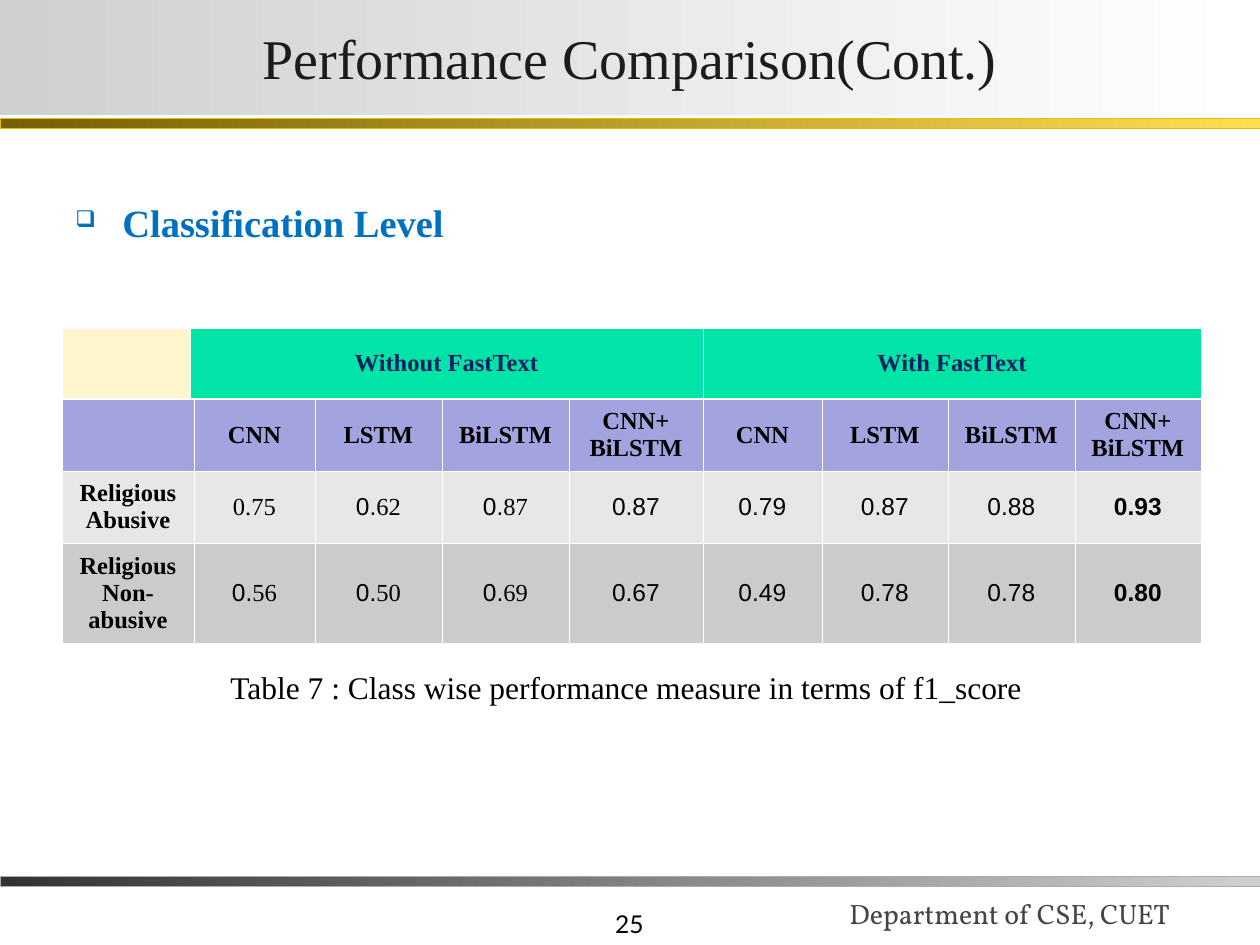
from lxml import etree
from pptx import Presentation
from pptx.dml.color import RGBColor
from pptx.enum.shapes import MSO_SHAPE
from pptx.enum.text import MSO_ANCHOR, PP_ALIGN
from pptx.oxml.ns import qn
from pptx.util import Emu, Pt

RECTANGLE = MSO_SHAPE.RECTANGLE
TOP, MIDDLE, BOTTOM = MSO_ANCHOR.TOP, MSO_ANCHOR.MIDDLE, MSO_ANCHOR.BOTTOM
LEFT, CENTER, RIGHT = PP_ALIGN.LEFT, PP_ALIGN.CENTER, PP_ALIGN.RIGHT

SERIF, SANS = "Times New Roman", "Arial"
BLACK = RGBColor(0x00, 0x00, 0x00)
WHITE = RGBColor(0xFF, 0xFF, 0xFF)
CHARCOAL = RGBColor(0x33, 0x33, 0x33)
TITLE_INK = RGBColor(0x1C, 0x1C, 0x1C)
FOOTER_INK = RGBColor(0x44, 0x44, 0x44)
SILVER = RGBColor(0xD0, 0xD0, 0xD0)
SILVER_EDGE = RGBColor(0xAB, 0xAB, 0xAB)
DARK_GOLD = RGBColor(0x76, 0x60, 0x00)
GOLD = RGBColor(0xFF, 0xDE, 0x53)
GOLD_EDGE = RGBColor(0xE8, 0xBC, 0x00)
BLUE = RGBColor(0x00, 0x70, 0xC0)
NAVY = RGBColor(0x00, 0x20, 0x60)
CREAM = RGBColor(0xFF, 0xF5, 0xCC)
GREEN = RGBColor(0x00, 0xE4, 0xA8)
LAVENDER = RGBColor(0xA3, 0xA3, 0xE0)
LIGHT_GRAY = RGBColor(0xE7, 0xE7, 0xE7)
MID_GRAY = RGBColor(0xCB, 0xCB, 0xCB)

THIN, THICK = 0.45, 1.47


def px(length):
    return Emu(round(length * 914400 / 126))


def mixed(decimals):
    """One line whose leading zero is sans and whose decimals are serif."""
    return [[("0.", SANS), (decimals, SERIF)]]


MODELS = [["CNN"], ["LSTM"], ["BiLSTM"], ["CNN+", "BiLSTM"]]
ABUSIVE = [["0.75"], mixed("62"), mixed("87"),
           ["0.87"], ["0.79"], ["0.87"], ["0.88"], ["0.93"]]
NON_ABUSIVE = [mixed("56"), mixed("50"), mixed("69"),
               ["0.67"], ["0.49"], ["0.78"], ["0.78"], ["0.80"]]
SCORE_ROWS = [
    [[]] * 9,
    [[]] + MODELS * 2,
    [["Religious", "Abusive"]] + ABUSIVE,
    [["Religious", "Non-abusive"]] + NON_ABUSIVE,
]
SCORE_FILLS = [BLACK, LAVENDER, LIGHT_GRAY, MID_GRAY]
SCORE_WIDTHS = [132, 121, 127, 127, 134, 119, 126, 127, 126]
SCORE_HEIGHTS = [71, 72, 72, 100]


class SlideBuilder:
    def __init__(self, presentation):
        self.slide = presentation.slides.add_slide(presentation.slide_layouts[6])

    def fill_text(self, frame, lines, size, color, font=SERIF, bold=False, align=LEFT):
        for index, line in enumerate(lines):
            paragraph = frame.add_paragraph() if index else frame.paragraphs[0]
            paragraph.alignment = align
            paragraph.font.size = Pt(size)
            paragraph.font.bold = bold
            paragraph.font.color.rgb = color
            if isinstance(line, str):
                paragraph.font.name = font
                paragraph.add_run().text = line
                continue
            for text, run_font in line:
                run = paragraph.add_run()
                run.text = text
                run.font.name = run_font

    def text(self, box, line, size, color, anchor=TOP, **style):
        frame = self.slide.shapes.add_textbox(*map(px, box)).text_frame
        frame.word_wrap = True
        frame.vertical_anchor = anchor
        self.fill_text(frame, [line], size, color, **style)
        return frame.paragraphs[0]

    def bullet(self, box, line, size, color, indent, mark):
        paragraph = self.text(box, line, size, color, bold=True)
        properties = paragraph._p.get_or_add_pPr()
        properties.set("marL", str(px(indent)))
        properties.set("indent", str(-px(indent)))
        default_font = properties.find(qn("a:defRPr"))
        bullet_color = etree.Element(qn("a:buClr"))
        etree.SubElement(bullet_color, qn("a:srgbClr"), val=str(color))
        bullet_size = etree.Element(qn("a:buSzPct"), val="60000")
        bullet_mark = etree.Element(qn("a:buChar"), char=mark)
        for element in (bullet_color, bullet_size, bullet_mark):
            default_font.addprevious(element)

    def gradient_bar(self, box, start, end, edge=None):
        shape = self.slide.shapes.add_shape(RECTANGLE, *map(px, box))
        shape.shadow.inherit = False
        shape.fill.gradient()
        shape.fill.gradient_angle = 0
        for stop, color in zip(shape.fill.gradient_stops, (start, end)):
            stop.color.rgb = color
        if edge is None:
            shape.line.fill.background()
        else:
            shape.line.color.rgb = edge
            shape.line.width = Pt(0.25)
        return shape

    def title(self, box, line):
        frame = self.gradient_bar(box, SILVER, WHITE).text_frame
        frame.word_wrap = True
        frame.vertical_anchor = MIDDLE
        frame.margin_left = frame.margin_right = px(2)
        frame.margin_top = frame.margin_bottom = px(1)
        self.fill_text(frame, [line], 32, TITLE_INK, align=CENTER)

    def table(self, left, top, widths, heights):
        box = (left, top, sum(widths), sum(heights))
        table = self.slide.shapes.add_table(
            len(heights), len(widths), *map(px, box)).table
        table.first_row = table.horz_banding = False
        for column, width in zip(table.columns, widths):
            column.width = px(width)
        for row, height in zip(table.rows, heights):
            row.height = px(height)
        return table

    def cell(self, cell, lines, fill, color=BLACK, top=THIN, bottom=THIN, **style):
        properties = cell._tc.get_or_add_tcPr()
        for side, width in zip("LRTB", (THIN, THIN, top, bottom)):
            line = etree.SubElement(properties, qn(f"a:ln{side}"), w=str(Pt(width)))
            solid = etree.SubElement(line, qn("a:solidFill"))
            etree.SubElement(solid, qn("a:srgbClr"), val=str(WHITE))
        cell.fill.solid()
        cell.fill.fore_color.rgb = fill
        cell.vertical_anchor = MIDDLE
        self.fill_text(cell.text_frame, lines, 14, color, align=CENTER, **style)

    def score_table(self, left, top):
        table = self.table(left, top, SCORE_WIDTHS, SCORE_HEIGHTS)
        for row, (cells, fill) in enumerate(zip(SCORE_ROWS, SCORE_FILLS)):
            for column, lines in enumerate(cells):
                is_score = row > 1 and column > 0
                self.cell(table.cell(row, column), lines, fill,
                          top=THICK if row == 1 else THIN,
                          bottom=THICK if row == 0 else THIN,
                          font=SANS if is_score and column > 1 else SERIF,
                          bold=not is_score or column == 8)

    def group_header(self, left, top):
        table = self.table(left, top, [128, 513, 498], SCORE_HEIGHTS[:1])
        groups = [([], CREAM), (["Without FastText"], GREEN), (["With FastText"], GREEN)]
        for column, (lines, fill) in enumerate(groups):
            self.cell(table.cell(0, column), lines, fill, NAVY, bottom=THICK, bold=True)


def main():
    presentation = Presentation()
    presentation.slide_width, presentation.slide_height = px(1260), px(945)
    builder = SlideBuilder(presentation)
    builder.text((394, 882, 262, 63), "25", 14, BLACK, BOTTOM, font="Lato", align=RIGHT)
    builder.text((837, 857, 433, 79), "Department of CSE, CUET", 16, FOOTER_INK,
                 BOTTOM, font="Vollkorn")
    builder.gradient_bar((0, 876, 1260, 10), CHARCOAL, SILVER, SILVER_EDGE)
    builder.gradient_bar((0, 118, 1260, 10), DARK_GOLD, GOLD, GOLD_EDGE)
    builder.title((0, 0, 1260, 115), "Performance Comparison(Cont.)")
    builder.bullet((63, 193, 498, 59), "Classification Level", 22, BLUE, 47, "❑")
    builder.score_table(62, 328)
    builder.group_header(62, 328)
    builder.text((218, 662, 824, 50),
                 "Table 7 : Class wise performance measure in terms of f1_score",
                 18, BLACK)
    presentation.save("out.pptx")


if __name__ == "__main__":
    main()
